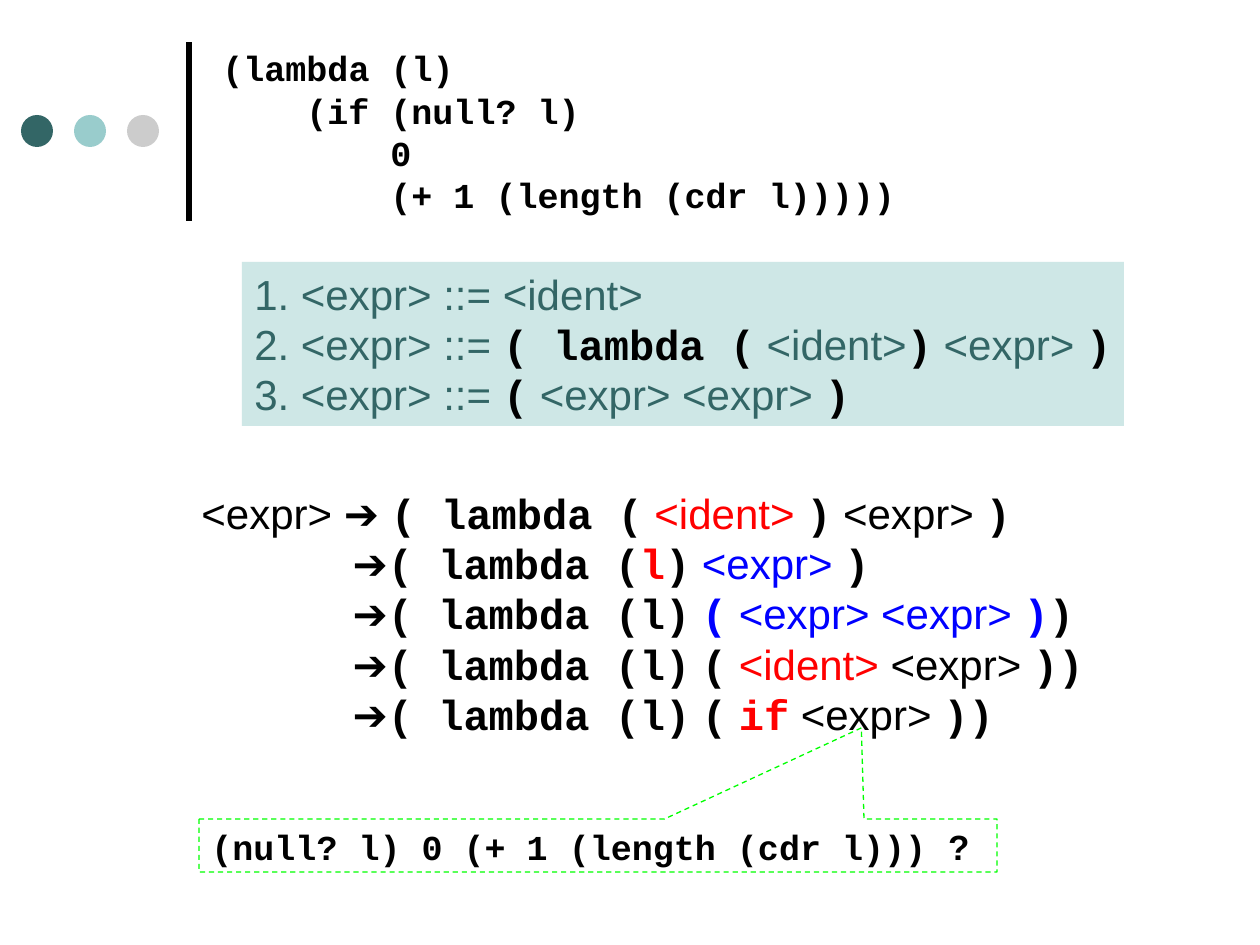
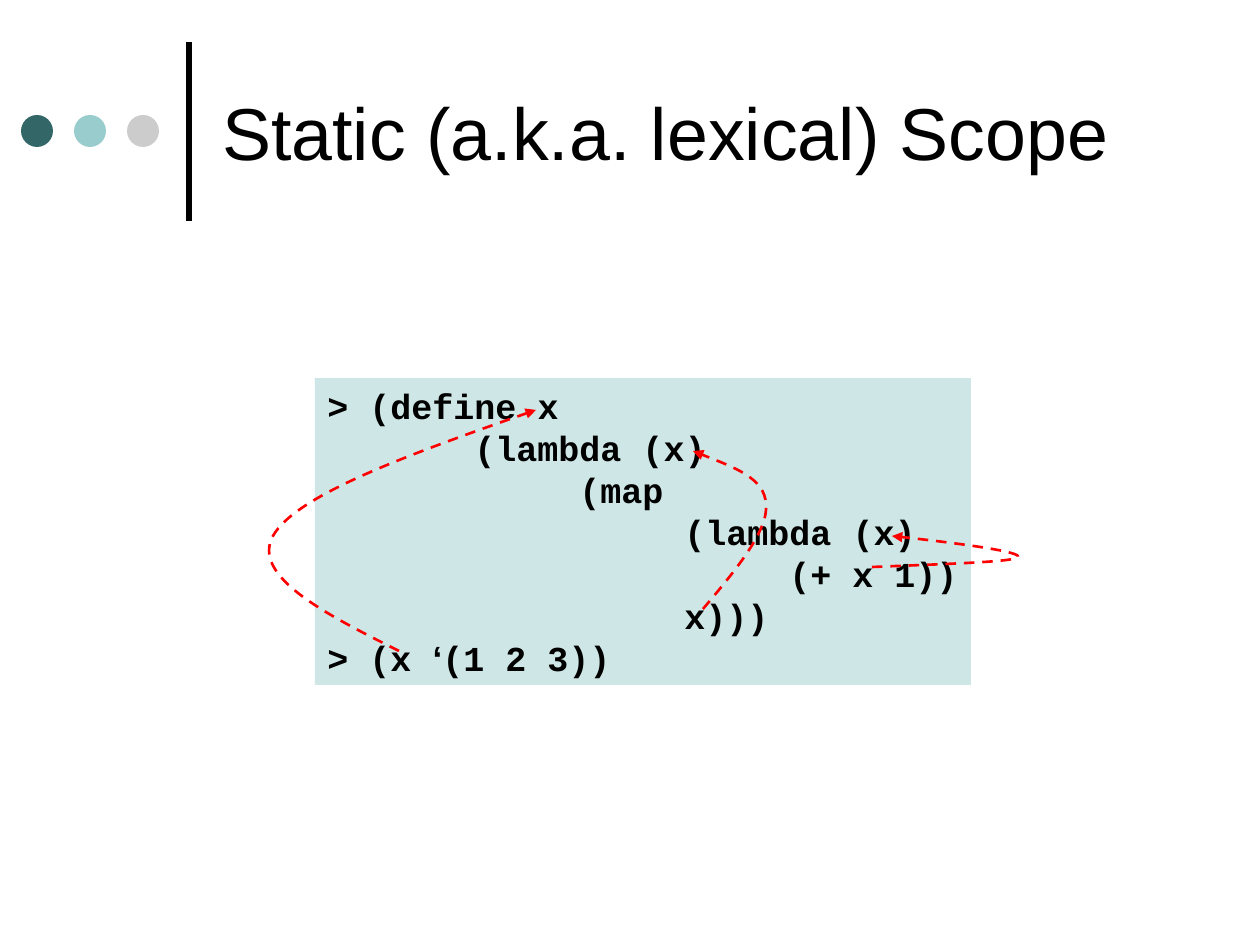
from lxml import etree
from pptx import Presentation
from pptx.dml.color import RGBColor
from pptx.enum.dml import MSO_LINE
from pptx.enum.shapes import MSO_CONNECTOR, MSO_SHAPE as SHAPE
from pptx.enum.text import MSO_ANCHOR as ANCHOR
from pptx.oxml.ns import qn
from pptx.util import Pt

PX = 914400 / 126
COLORS = {
    "black": "000000", "white": "FFFFFF", "teal": "336666", "aqua": "99CCCC",
    "gray": "CCCCCC", "panel": "CEE7E6", "red": "FF0000", "blue": "0000FF",
    "green": "00FF00",
}
# style: font, bold, colour
STYLES = {
    "code": ("Courier New", True, "black"),
    "code red": ("Courier New", True, "red"),
    "code blue": ("Courier New", True, "blue"),
    "plain": ("Arial", False, "black"),
    "plain red": ("Arial", False, "red"),
    "plain blue": ("Arial", False, "blue"),
    "rule": ("Arial", False, "teal"),
    "mark": ("Arial", True, "black"),
}

# Each line of text: (indent in characters, [(text, style), ...])
LENGTH_TITLE = [
    (0, [("(lambda (l)", "code")]),
    (4, [("(if (null? l)", "code")]),
    (8, [("0", "code")]),
    (8, [("(+ 1 (length (cdr l)))))", "code")]),
]
GRAMMAR = [
    (0, [("1. <expr> ::= <ident>", "rule")]),
    (0, [("2. <expr> ::= ", "rule"), ("( lambda (", "code"), (" <ident>", "rule"),
         (")", "code"), (" <expr> ", "rule"), (")", "code")]),
    (0, [("3. <expr> ::= ", "rule"), ("(", "code"), (" <expr> <expr> ", "rule"),
         (")", "code")]),
]
DERIVATION = [
    (0, [("<expr> ➔ ", "plain"), ("( lambda (", "code"), (" <ident> ", "plain red"),
         (")", "code"), (" <expr> ", "plain"), (")", "code")]),
    (6, [("➔", "mark"), ("( lambda (", "code"), ("l", "code red"), (")", "code"),
         (" <expr> ", "plain blue"), (")", "code")]),
    (6, [("➔", "mark"), ("( lambda (l)", "code"), (" ", "plain"), ("(", "code blue"),
         (" <expr> <expr> ", "plain blue"), (")", "code blue"), (")", "code")]),
    (6, [("➔", "mark"), ("( lambda (l)", "code"), (" ", "plain"), ("(", "code"),
         (" <ident>", "plain red"), (" <expr> ", "plain"), ("))", "code")]),
    (6, [("➔", "mark"), ("( lambda (l)", "code"), (" ", "plain"), ("(", "code"),
         (" ", "plain"), ("if", "code red"), (" <expr> ", "plain"), ("))", "code")]),
]
QUESTION = [(0, [("(null? l) 0 (+ 1 (length (cdr l))) ", "code"), ("?", "mark")])]

SCOPE_TITLE = [(0, [("Static (a.k.a. lexical) Scope", "plain")])]
SCOPE_CODE = [
    (0, [("> (define x", "code")]),
    (7, [("(lambda (x)", "code")]),
    (12, [("(map", "code")]),
    (17, [("(lambda (x)", "code")]),
    (22, [("(+ x 1))", "code")]),
    (17, [("x)))", "code")]),
    (0, [("> (x ", "code"), ("‘", "mark"), ("(1 2 3))", "code")]),
]
# From each use of x to its binding: start, then three points per Bézier curve
BINDING_ARROWS = [
    [(399, 651), (325, 614), (251, 576), (273, 536), (296, 495), (416, 452), (536, 410)],
    [(872, 567), (944, 564), (1016, 562), (1018, 557), (1022, 552), (958, 543), (892, 536)],
    [(703, 609), (736, 570), (769, 530), (766, 504), (765, 478), (728, 465), (693, 451)],
]


def px(*lengths):
    return [round(length * PX) for length in lengths]


def rgb(name):
    return RGBColor.from_string(COLORS[name])


def style_font(font, style):
    font.name, font.bold, color = STYLES[style]
    font.color.rgb = rgb(color)


def write(box, lines, size, anchor=ANCHOR.TOP):
    frame = box.text_frame
    frame.word_wrap = True
    frame.vertical_anchor = anchor
    frame.margin_right = 0
    for number, (indent, spans) in enumerate(lines):
        para = frame.add_paragraph() if number else frame.paragraphs[0]
        props = para._p.get_or_add_pPr()
        props.set("marL", str(Pt(indent * size * 0.6)))  # Courier advance is 0.6 em
        props.set("indent", "0")
        props.set("algn", "l")
        para.font.size = Pt(size)
        base = spans[0][1]
        style_font(para.font, base)
        for text, style in spans:
            span = para.add_run()
            span.text = text
            if style != base:
                style_font(span.font, style)


def add_shape(page, kind, place, fill):
    shape = page.shapes.add_shape(kind, *px(*place))
    shape.shadow.inherit = False
    shape.fill.solid()
    shape.fill.fore_color.rgb = rgb(fill)
    shape.line.fill.background()
    return shape


def dash_line(shape, color, width):
    shape.line.color.rgb = rgb(color)
    shape.line.width = Pt(width)
    shape.line.dash_style = MSO_LINE.DASH


def add_page(deck, title, size):
    """Add a slide with the shared bar, dots and title."""
    page = deck.slides.add_slide(deck.slide_layouts[6])
    bar = page.shapes.add_connector(MSO_CONNECTOR.STRAIGHT, *px(189, 221, 189, 42))
    bar.line.color.rgb = rgb("black")
    bar.line.width = Pt(3)
    etree.SubElement(bar._element.spPr, qn("a:effectLst"))
    for number, color in enumerate(["teal", "aqua", "gray"]):
        add_shape(page, SHAPE.OVAL, (21 + 53 * number, 115, 32, 32), color)
    box = page.shapes.add_textbox(*px(210, 26, 966, 210))
    write(box, title, size, ANCHOR.MIDDLE)
    return page


def add_curved_arrow(page, points):
    start, *rest = [px(*point) for point in points]
    builder = page.shapes.build_freeform(*start)
    builder.add_line_segments(rest, close=False)
    arrow = builder.convert_to_shape()
    arrow.shadow.inherit = False
    arrow.fill.background()
    dash_line(arrow, "red", 1.5)
    etree.SubElement(arrow.line._get_or_add_ln(), qn("a:tailEnd"), type="triangle")
    segments = list(arrow._element.iter(qn("a:lnTo")))
    outline = segments[0].getparent()
    for first in range(0, len(segments), 3):
        curve = etree.SubElement(outline, qn("a:cubicBezTo"))
        for segment in segments[first:first + 3]:
            curve.append(segment[0])
            outline.remove(segment)


def build_derivation(deck):
    page = add_page(deck, LENGTH_TITLE, 20)
    write(add_shape(page, SHAPE.RECTANGLE, (242, 262, 882, 164), "panel"), GRAMMAR, 24)
    write(page.shapes.add_textbox(*px(189, 481, 914, 315)), DERIVATION, 24)
    callout = add_shape(page, SHAPE.RECTANGULAR_CALLOUT, (199, 819, 798, 53), "white")
    callout.fill.background()
    callout.adjustments[0], callout.adjustments[1] = 0.33, -2.22
    dash_line(callout, "green", 0.75)
    write(callout, QUESTION, 20)


def build_scope(deck):
    page = add_page(deck, SCOPE_TITLE, 42)
    write(add_shape(page, SHAPE.RECTANGLE, (315, 378, 656, 307), "panel"), SCOPE_CODE, 20)
    for points in BINDING_ARROWS:
        add_curved_arrow(page, points)


def main():
    deck = Presentation()
    deck.slide_width, deck.slide_height = px(1260, 945)
    build_derivation(deck)
    build_scope(deck)
    deck.save("out.pptx")


if __name__ == "__main__":
    main()
